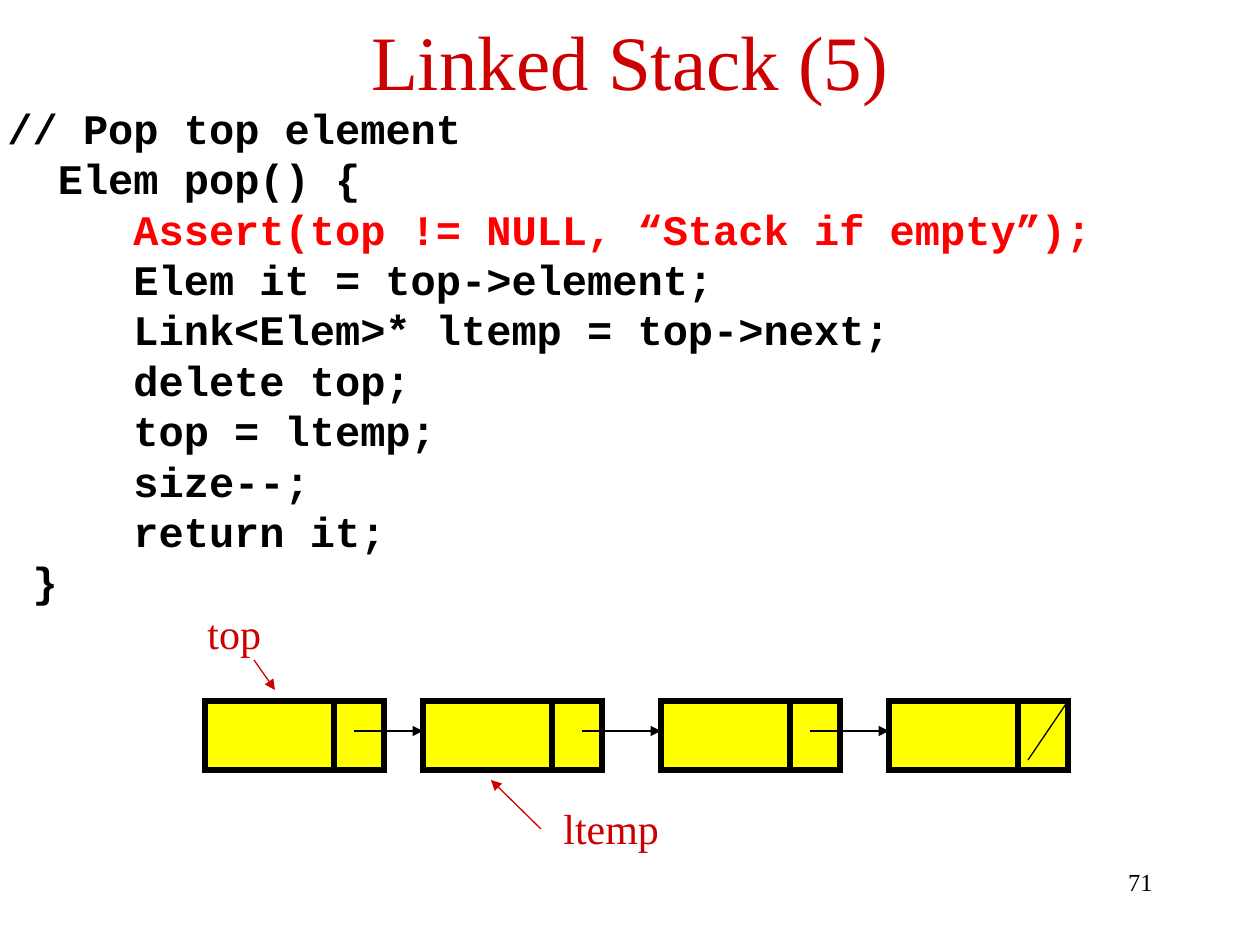
from dataclasses import dataclass

from lxml.etree import SubElement
from pptx import Presentation
from pptx.dml.color import RGBColor
from pptx.enum.shapes import MSO_CONNECTOR as CONN, MSO_SHAPE as SHAPE
from pptx.enum.text import MSO_ANCHOR as ANCHOR, PP_ALIGN as ALIGN
from pptx.oxml.ns import qn
from pptx.util import Emu, Pt


@dataclass(frozen=True)
class Theme:
    ink: str = "000000"
    accent: str = "CC0000"
    alert: str = "FF0000"
    node: str = "FFFF00"
    serif: str = "Times New Roman"
    mono: str = "Courier New"
    title: int = 44
    body: int = 24
    number: int = 14
    pitch: float = 28.8
    thin: float = 0.75
    thick: int = 3


T = Theme()
PX_PER_INCH = 126

CODE = [
    "// Pop top element",
    "  Elem pop() {",
    "\tAssert(top != NULL, “Stack if empty”);",
    "\tElem it = top->element;",
    "\tLink<Elem>* ltemp = top->next;",
    "\tdelete top;",
    "\ttop = ltemp;",
    "\tsize--;",
    "\treturn it;",
    " }",
]
ALERT_LINE = 2
CODE_INDENT = 126


def px(n):
    return Emu(round(n * 914400 / PX_PER_INCH))


def rgb(color):
    return RGBColor.from_string(color)


def style(p, size, color, font=T.serif, bold=False):
    p.font.size, p.font.name, p.font.bold = Pt(size), font, bold
    p.font.color.rgb = rgb(color)


def add_text(s, box, text, size, color, align=ALIGN.LEFT, wrap=True):
    tf = s.shapes.add_textbox(*map(px, box)).text_frame
    tf.word_wrap = wrap
    p = tf.paragraphs[0]
    p.text, p.alignment = text, align
    style(p, size, color)


def add_line(s, start, end, color=T.ink, width=T.thin, arrow=False):
    line = s.shapes.add_connector(CONN.STRAIGHT, *map(px, (*start, *end)))
    line.line.color.rgb = rgb(color)
    line.line.width = Pt(width)
    if arrow:
        SubElement(line.line._get_or_add_ln(), qn("a:tailEnd"), type="triangle")
    SubElement(line._element.spPr, qn("a:effectLst"))


def add_title(s, box, text):
    sp = s.shapes.title
    sp.left, sp.top, sp.width, sp.height = map(px, box)
    tf = sp.text_frame
    tf.vertical_anchor = ANCHOR.MIDDLE
    p = tf.paragraphs[0]
    p.text, p.alignment = text, ALIGN.CENTER
    style(p, T.title, T.accent)


def add_code(s, box):
    tf = s.shapes.add_textbox(*map(px, box)).text_frame
    tf.word_wrap = True
    for i, text in enumerate(CODE):
        p = tf.paragraphs[0] if i == 0 else tf.add_paragraph()
        p.add_run().text = text
        p.line_spacing = Pt(T.pitch)
        tabs = SubElement(p._p.get_or_add_pPr(), qn("a:tabLst"))
        SubElement(tabs, qn("a:tab"), pos=str(px(CODE_INDENT)), algn="l")
        style(p, T.body, T.alert if i == ALERT_LINE else T.ink, T.mono, True)


def add_node(s, box):
    """A list node: an element cell and a narrower link cell."""
    x, y, w, h = box
    sp = s.shapes.add_shape(SHAPE.RECTANGLE, *map(px, box))
    sp.shadow.inherit = False
    sp.fill.solid()
    sp.fill.fore_color.rgb = rgb(T.node)
    sp.line.color.rgb = rgb(T.ink)
    sp.line.width = Pt(T.thick)
    SubElement(sp.line._get_or_add_ln(), qn("a:miter"), lim="800000")
    add_line(s, (x + 129, y), (x + 129, y + h), width=T.thick)


def add_linked_list(s, box):
    x, y, w, h = box
    node_w, node_h = 179, 69
    node_y = y + 100
    lefts = [x + dx for dx in (10, 228, 466, 694)]

    # Pointer labels
    for name, label, start, end in (
        ("top", (0, 0, 79, 63), (59, 59), (80, 89)),
        ("ltemp", (356, 195, 121, 63), (346, 228), (296, 179)),
    ):
        dx, dy, label_w, label_h = label
        add_line(s, (x + start[0], y + start[1]), (x + end[0], y + end[1]),
                 T.accent, arrow=True)
        add_text(s, (x + dx, y + dy, label_w, label_h), name,
                 T.body, T.accent, wrap=False)

    # Nodes
    for left in lefts:
        add_node(s, (left, node_y, node_w, node_h))

    # Links to the next node
    link_y = node_y + 30
    for left, following, offset in zip(lefts, lefts[1:], (149, 159, 149)):
        add_line(s, (left + offset, link_y), (following, link_y), arrow=True)

    # Slash for the null link
    last = lefts[-1]
    add_line(s, (last + 139, node_y + 59), (last + node_w, node_y))


def main():
    prs = Presentation()
    prs.slide_width, prs.slide_height = px(1260), px(945)
    s = prs.slides.add_slide(prs.slide_layouts[5])
    add_code(s, (-5, 96, 1265, 522))
    add_title(s, (63, -3, 1134, 126), "Linked Stack (5)")
    add_linked_list(s, (195, 601, 873, 258))
    # Slide number
    add_text(s, (903, 861, 262, 63), "71", T.number, T.ink, ALIGN.RIGHT)
    prs.save("out.pptx")


if __name__ == "__main__":
    main()
